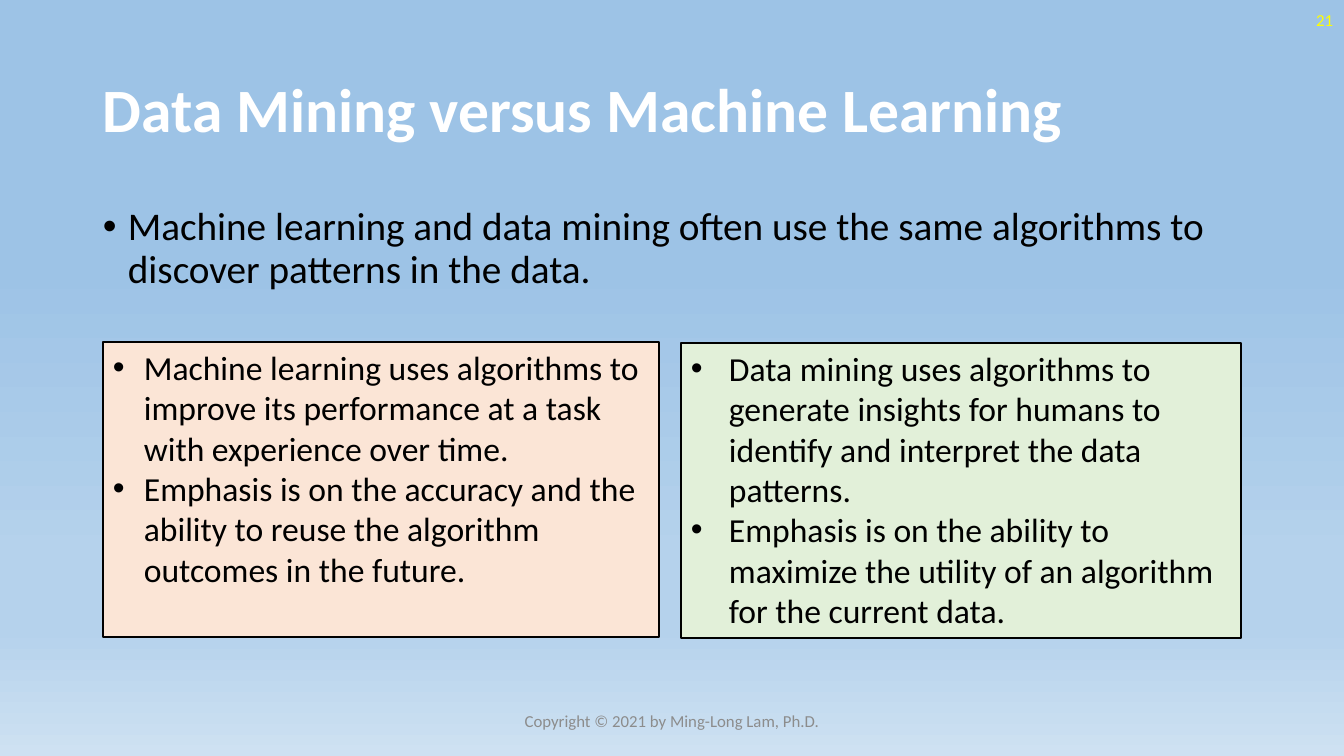
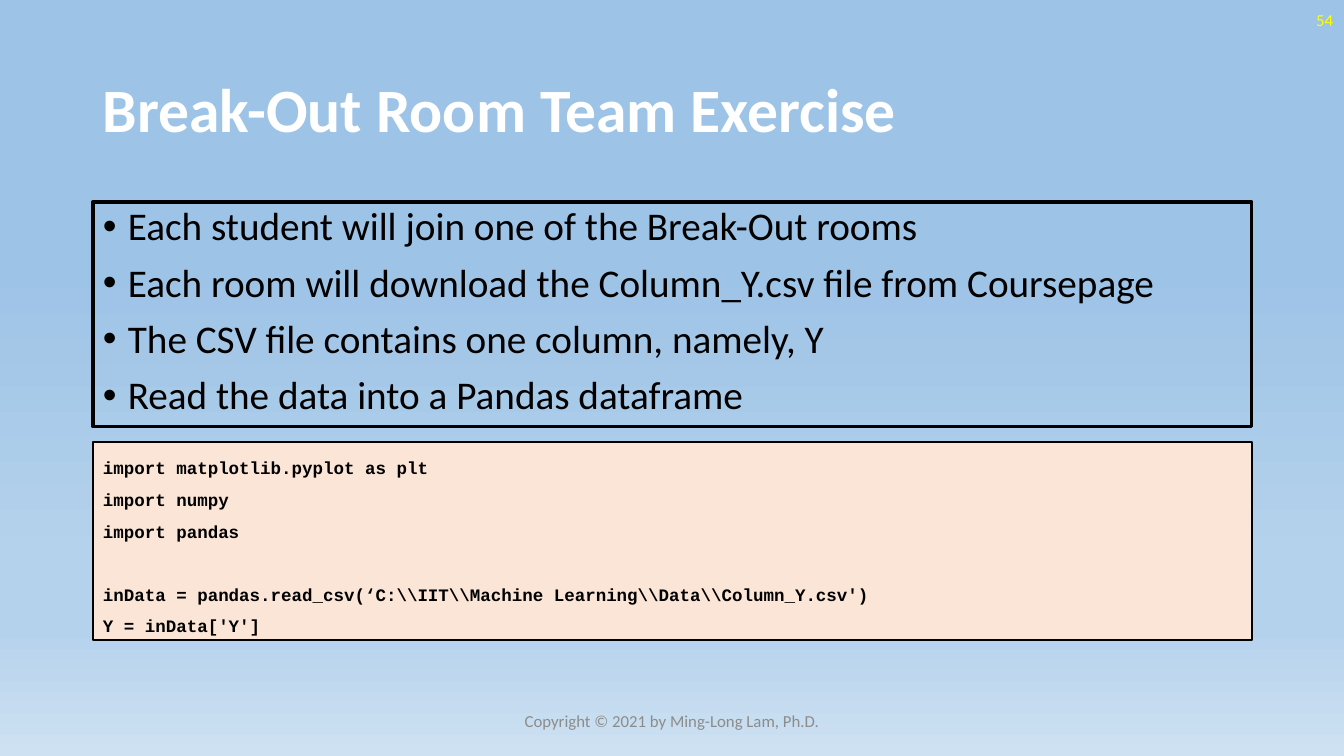
from lxml import etree
from pptx import Presentation
from pptx.dml.color import RGBColor
from pptx.enum import shapes, text
from pptx.oxml.ns import qn
from pptx.util import Emu, Pt

SCALE = 914400 / 100.8
WHITE = RGBColor(0xFF, 0xFF, 0xFF)
BLACK = RGBColor(0, 0, 0)
YELLOW = RGBColor(0xFF, 0xFF, 0)
GREY = RGBColor(0x8C, 0x8C, 0x8C)
PEACH = RGBColor(0xFB, 0xE5, 0xD6)
GREEN = RGBColor(0xE2, 0xF0, 0xD9)
SKY = [(35, RGBColor(0x9D, 0xC3, 0xE6)), (74, RGBColor(0xB5, 0xD2, 0xEC)),
       (83, RGBColor(0xB5, 0xD2, 0xEC)), (100, RGBColor(0xCE, 0xE1, 0xF2))]

LEFT, WIDE = 93, 1159
BODY = 202
MID = text.MSO_ANCHOR.MIDDLE
ALIGN = text.PP_ALIGN


def px(n):
    return Emu(round(n * SCALE))


def place(slide, box, fill=None, line=None, anchor=text.MSO_ANCHOR.TOP):
    """Add a text box, or a rectangle when a line width is given."""
    spot = [px(n) for n in box]
    if line is None:
        shape = slide.shapes.add_textbox(*spot)
    else:
        shape = slide.shapes.add_shape(shapes.MSO_SHAPE.RECTANGLE, *spot)
        shape.shadow.inherit = False
        shape.line.color.rgb = BLACK
        shape.line.width = Pt(line)
        if fill is None:
            shape.fill.background()
        else:
            shape.fill.solid()
            shape.fill.fore_color.rgb = fill
    frame = shape.text_frame
    frame.word_wrap = True
    frame.vertical_anchor = anchor
    return frame


def bullet(para, indent):
    props = para._p.get_or_add_pPr()
    props.set("marL", str(px(indent)))
    props.set("indent", str(-px(indent)))
    etree.SubElement(props, qn("a:buFont")).set("typeface", "Arial")
    etree.SubElement(props, qn("a:buChar")).set("char", "•")


def write(frame, lines, size, color=BLACK, font="Calibri", bold=False,
          align=ALIGN.LEFT, indent=0, lead=None, gap=0):
    for i, line in enumerate(lines):
        para = frame.add_paragraph() if i else frame.paragraphs[0]
        if indent:
            bullet(para, indent)
        para.alignment = align
        para.line_spacing = lead
        if i and gap:
            para.space_before = Pt(gap)
        run = para.add_run()
        run.text = line
        run.font.name = font
        run.font.size = Pt(size)
        run.font.bold = bold
        run.font.color.rgb = color


# Shared look
def backdrop(master):
    fill = master.background.fill
    fill.gradient()
    fill.gradient_angle = 270
    stops = master._element.find(".//" + qn("a:gsLst"))
    for stop in list(stops):
        stops.remove(stop)
    for pos, color in SKY:
        stop = etree.SubElement(stops, qn("a:gs"), pos=str(pos * 1000))
        etree.SubElement(stop, qn("a:srgbClr"), val=str(color))


def start(deck, title, number):
    slide = deck.slides.add_slide(deck.slide_layouts[6])
    write(place(slide, (LEFT, 40, WIDE, 146), anchor=MID), [title],
          44, WHITE, bold=True, lead=0.9)
    write(place(slide, (1041, 0, 302, 40), anchor=MID), [number],
          12, YELLOW, align=ALIGN.RIGHT)
    write(place(slide, (445, 701, 454, 40), anchor=MID),
          ["Copyright © 2021 by Ming-Long Lam, Ph.D."],
          12, GREY, align=ALIGN.CENTER)
    return slide


# Regions
def points(slide, box, lines, line=None):
    write(place(slide, box, line=line), lines, 28,
          indent=25, lead=0.9, gap=10)


def panel(slide, box, fill, lines, indent):
    write(place(slide, box, fill, 1.5), lines, 24, indent=indent)


def code(slide, box, blocks):
    """Show blocks of code, set apart by one line's height."""
    pitch = 22.5
    frame = place(slide, box, PEACH, 1.5)
    write(frame, [row for block in blocks for row in block], 12.5,
          font="Courier New", bold=True, lead=Pt(pitch))
    first = 0
    for block in blocks[:-1]:
        first += len(block)
        frame.paragraphs[first].space_before = Pt(pitch)


# Slides
def versus(deck):
    slide = start(deck, "Data Mining versus Machine Learning", "21")
    points(slide, (LEFT, BODY, WIDE, 100), [
        "Machine learning and data mining often use the same algorithms to "
        "discover patterns in the data."])
    panel(slide, (103, 342, 556, 295), PEACH, [
        "Machine learning uses algorithms to improve its performance at a "
        "task with experience over time.",
        "Emphasis is on the accuracy and the ability to reuse the algorithm "
        "outcomes in the future."], 31)
    panel(slide, (681, 343, 560, 295), GREEN, [
        "Data mining uses algorithms to generate insights for humans to "
        "identify and interpret the data patterns.",
        "Emphasis is on the ability to maximize the utility of an algorithm "
        "for the current data."], 38)


def team(deck):
    slide = start(deck, "Break-Out Room Team Exercise", "54")
    points(slide, (LEFT, BODY, WIDE, 225), [
        "Each student will join one of the Break-Out rooms",
        "Each room will download the Column_Y.csv file from Coursepage",
        "The CSV file contains one column, namely, Y",
        "Read the data into a Pandas dataframe"], line=2.25)
    code(slide, (LEFT, 442, WIDE, 198), [
        ["import matplotlib.pyplot as plt", "import numpy", "import pandas"],
        [r"inData = pandas.read_csv(‘C:\\IIT\\Machine Learning\\Data"
         r"\\Column_Y.csv')", "Y = inData['Y']"]])


def main():
    deck = Presentation()
    deck.slide_width, deck.slide_height = px(1344), px(756)
    backdrop(deck.slide_master)
    versus(deck)
    team(deck)
    deck.save("out.pptx")


if __name__ == "__main__":
    main()
